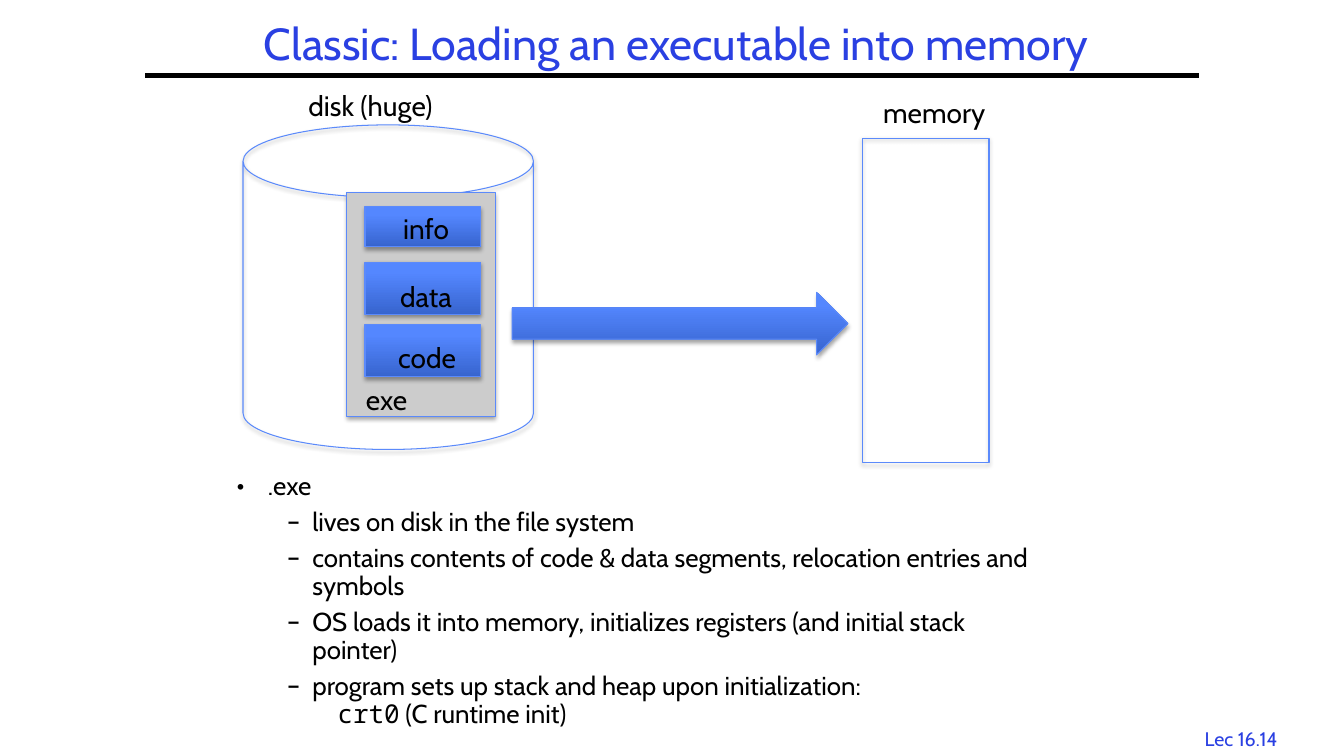
"""Build the lecture slide on loading an executable into memory."""
from lxml.etree import SubElement
from pptx import Presentation
from pptx.dml.color import RGBColor
from pptx.enum.shapes import MSO_CONNECTOR as Connector, MSO_SHAPE as Shape
from pptx.enum.text import MSO_ANCHOR as Anchor, PP_ALIGN as Align
from pptx.oxml.ns import qn
from pptx.util import Inches, Pt

BLACK = RGBColor(0x00, 0x00, 0x00)
BLUE = RGBColor(0x2A, 0x40, 0xE2)
EDGE = RGBColor(0x5B, 0x8A, 0xFB)
GREY = RGBColor(0xCC, 0xCC, 0xCC)
DEEP = RGBColor(0x37, 0x64, 0xCE)
BRIGHT = RGBColor(0x54, 0x87, 0xFF)
SANS, MONO = "Cabin", "Noto Sans Mono"

# Places are left, top, width, height in percent of the slide.
TITLE = ("Classic: Loading an executable into memory", (16.88, 2.27, 66.92, 7.73))
FOOTER = ("Lec 16.14", (88.3, 95.47, 8.1, 4.4))
RULE = (10.8, 89.2, 10)
DISK = (18.08, 16.53, 21.61, 42.93)
MEMORY = (64.14, 18.27, 9.45, 42.93)
EXE = (25.81, 25.47, 11.03, 29.6)
ARROW = (38.11, 38.67, 24.98, 8.27)
SEGMENT_LEFT, SEGMENT_WIDTH, LABEL_HEIGHT = 27.16, 8.63, 5.87
SEGMENTS = [(42.93, 6.93), (34.67, 6.93), (27.33, 5.33)]
DEVICE_LABELS = [("disk (huge)", 22.21, 11.07, 11.93), ("memory", 64.97, 12, 9.08)]
EXE_LABEL_WIDTH = 6.2
EXE_LABELS = [
    ("code", 28.88, 44.4),
    ("data", 29.03, 36.27),
    ("info", 29.26, 27.33),
    ("exe", 26.48, 50),
]
BODY = (16.88, 61.87, 61.29, 32.93)
BULLETS = [
    (0, ".exe"),
    (1, "lives on disk in the file system"),
    (1, "contains contents of code & data segments, relocation entries and symbols"),
    (1, "OS loads it into memory, initializes registers (and initial stack pointer)"),
    (1, "program sets up stack and heap upon initialization:"),
]
LAST_LINE = [("\t", SANS), ("crt0", MONO), (" (C runtime init)", SANS)]
LEVELS = [("•", 0.31, -0.31), ("–", 0.75, -0.25)]

deck = Presentation()
deck.slide_width, deck.slide_height = Inches(13.33), Inches(7.5)
page = deck.slides.add_slide(deck.slide_layouts[6])


def place(left, top, width, height):
    """Turn percentages of the slide into lengths."""
    across, down = deck.slide_width / 100, deck.slide_height / 100
    return round(left * across), round(top * down), round(width * across), round(height * down)


def add_span(para, text, size=20, color=BLACK, font=SANS):
    """Append one formatted run."""
    span = para.add_run()
    span.text = text
    span.font.size, span.font.name = Pt(size), font
    span.font.color.rgb = color


def add_text(text, area, shapes=page.shapes, align=Align.LEFT, anchor=Anchor.TOP,
             wrap=False, spacing=None, **style):
    """Add a text box holding one paragraph."""
    frame = shapes.add_textbox(*place(*area)).text_frame
    frame.word_wrap, frame.vertical_anchor = wrap, anchor
    para = frame.paragraphs[0]
    para.alignment, para.line_spacing = align, spacing
    add_span(para, text, **style)


def add_block(kind, area, shapes=page.shapes, fill=None, gradient=False):
    """Add an outlined shape with a soft shadow below it."""
    block = shapes.add_shape(kind, *place(*area))
    block.line.color.rgb, block.line.width = EDGE, Pt(0.75)
    if gradient:
        block.fill.gradient()
        block.fill.gradient_angle = 90
        for stop, color, position in zip(block.fill.gradient_stops, (DEEP, BRIGHT), (0, 0.8)):
            stop.color.rgb, stop.position = color, position
    elif fill is not None:
        block.fill.solid()
        block.fill.fore_color.rgb = fill
    else:
        block.fill.background()
    block.shadow.inherit = False
    effects = block._element.spPr.find(qn("a:effectLst"))
    shadow = SubElement(effects, qn("a:outerShdw"), blurRad=str(Pt(3.1)), dist=str(Pt(1.8)),
                        dir="5400000", rotWithShape="0")
    tint = SubElement(shadow, qn("a:srgbClr"), val=str(BLACK))
    SubElement(tint, qn("a:alpha"), val="35000")


def add_bullets():
    """Add the bulleted notes below the diagram."""
    frame = page.shapes.add_textbox(*place(*BODY)).text_frame
    frame.word_wrap = True
    for index, (level, text) in enumerate(BULLETS):
        para = frame.add_paragraph() if index else frame.paragraphs[0]
        mark, margin, indent = LEVELS[level]
        props = para._p.get_or_add_pPr()
        props.set("marL", str(Inches(margin)))
        props.set("indent", str(Inches(indent)))
        SubElement(props, qn("a:buFont"), typeface=SANS)
        SubElement(props, qn("a:buChar"), char=mark)
        para.level, para.line_spacing = level, 0.9
        if index:
            para.space_before = Pt(5.7)
        add_span(para, text, size=18.5)
    para.add_line_break()
    for text, font in LAST_LINE:
        add_span(para, text, size=18.5, font=font)


def main():
    """Draw the slide and save the deck."""
    add_text(*FOOTER, align=Align.CENTER, size=14, color=BLUE)
    start, end, height = RULE
    left, top, width, _ = place(start, height, end - start, 0)
    rule = page.shapes.add_connector(Connector.STRAIGHT, left, top, left + width, top)
    rule.line.color.rgb, rule.line.width = BLACK, Pt(3)
    SubElement(rule._element.spPr, qn("a:effectLst"))
    add_text(*TITLE, align=Align.CENTER, anchor=Anchor.MIDDLE, wrap=True, spacing=0.9,
             size=32, color=BLUE)
    add_bullets()
    add_block(Shape.CAN, DISK)
    add_block(Shape.RECTANGLE, MEMORY)
    for text, left, top, width in DEVICE_LABELS:
        add_text(text, (left, top, width, LABEL_HEIGHT))
    program = page.shapes.add_group_shape().shapes
    add_block(Shape.RECTANGLE, EXE, program, fill=GREY)
    for top, height in SEGMENTS:
        add_block(Shape.RECTANGLE, (SEGMENT_LEFT, top, SEGMENT_WIDTH, height), program,
                  gradient=True)
    for text, left, top in EXE_LABELS:
        add_text(text, (left, top, EXE_LABEL_WIDTH, LABEL_HEIGHT), program, wrap=True)
    add_block(Shape.RIGHT_ARROW, ARROW, gradient=True)
    deck.save("out.pptx")


if __name__ == "__main__":
    main()
